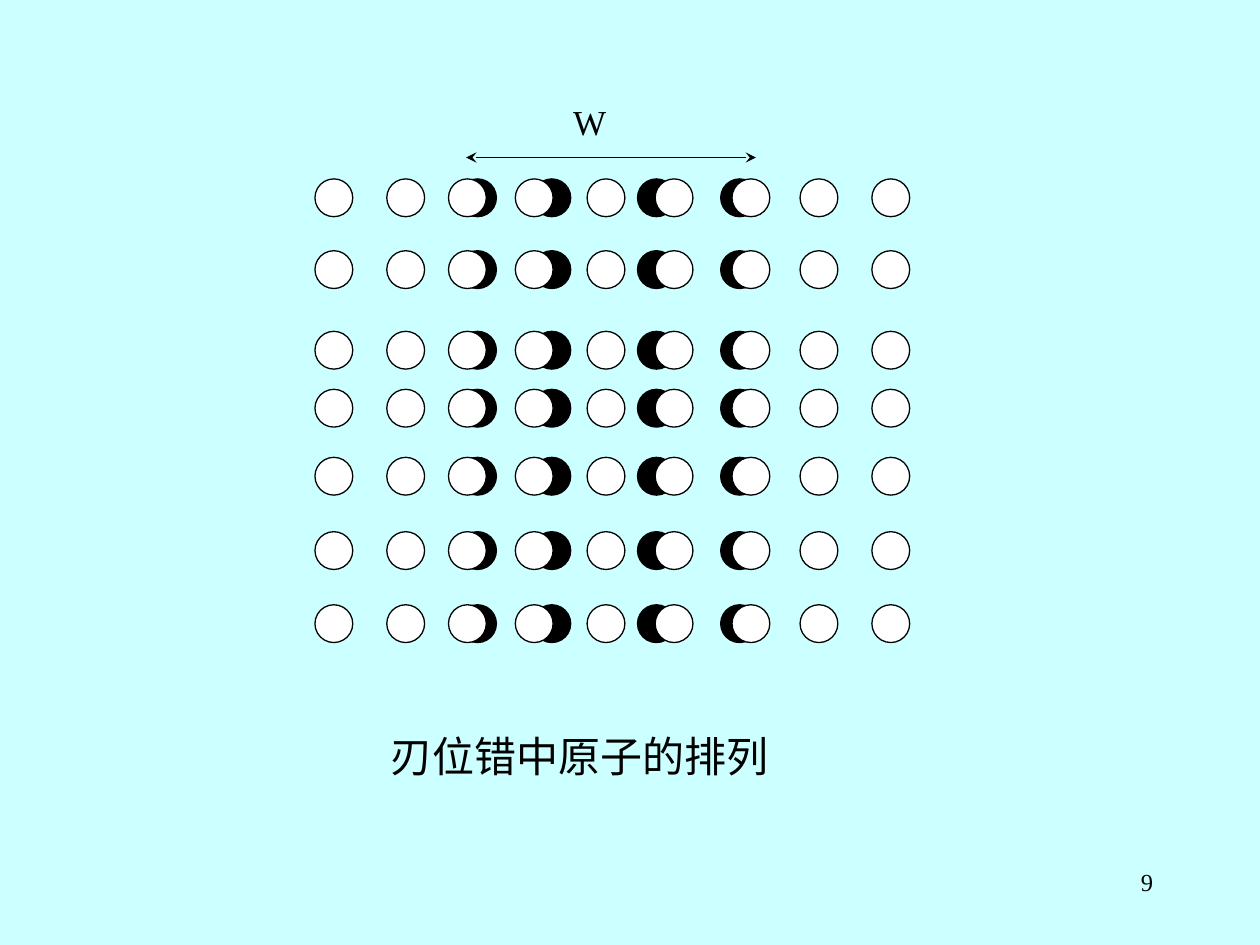
from dataclasses import dataclass

import pptx
import pptx.dml.color
import pptx.enum.shapes
import pptx.enum.text
import pptx.oxml
import pptx.oxml.ns
import pptx.util
from pptx.util import Inches

Color = pptx.dml.color.RGBColor
Align = pptx.enum.text.PP_ALIGN


@dataclass(frozen=True)
class Theme:
    background: Color = Color(0xCC, 0xFF, 0xFF)
    ink: Color = Color(0, 0, 0)
    atom: Color = Color(0xFF, 0xFF, 0xFF)
    font: str = "Times New Roman"
    caption_size: int = 24
    label_size: int = 20
    number_size: int = 14
    outline: float = 0.75
    arrow: float = 1


THEME = Theme()
ATOM_SIZE = 0.3
ROW_OFFSETS = (0, 0.57, 1.21, 1.67, 2.21, 2.8, 3.38)
# Column offsets: black atoms lie behind the displaced white ones.
BLACK_COLUMNS = (1.14, 1.73, 2.56, 3.22)
WHITE_COLUMNS = (0, 0.57, 1.06, 1.59, 2.16, 2.7, 3.31, 3.85, 4.42)


def add_text(shapes, box, text, size, alignment=Align.LEFT):
    text_box = shapes.add_textbox(*map(Inches, box))
    text_box.text_frame.word_wrap = True
    paragraph = text_box.text_frame.paragraphs[0]
    paragraph.text = text
    paragraph.alignment = alignment
    paragraph.font.name = THEME.font
    paragraph.font.size = pptx.util.Pt(size)
    paragraph.font.color.rgb = THEME.ink


def add_atom(shapes, left, top, fill):
    atom = shapes.add_shape(
        pptx.enum.shapes.MSO_SHAPE.OVAL,
        Inches(left), Inches(top), Inches(ATOM_SIZE), Inches(ATOM_SIZE))
    atom.shadow.inherit = False
    atom.fill.solid()
    atom.fill.fore_color.rgb = fill
    atom.line.color.rgb = THEME.ink
    atom.line.width = pptx.util.Pt(THEME.outline)


def add_lattice(shapes, left, top):
    for row in ROW_OFFSETS:
        for columns, fill in ((BLACK_COLUMNS, THEME.ink),
                              (WHITE_COLUMNS, THEME.atom)):
            for column in columns:
                add_atom(shapes, left + column, top + row, fill)


def add_width_mark(shapes, left, top, width):
    """Draw the double-headed arrow with its label above it."""
    label_width, label_height, gap = 0.8, 0.44, 0.06
    arrow_top = top + label_height + gap
    arrow = shapes.add_connector(
        pptx.enum.shapes.MSO_CONNECTOR.STRAIGHT,
        Inches(left), Inches(arrow_top),
        Inches(left + width), Inches(arrow_top))
    arrow.line.color.rgb = THEME.ink
    arrow.line.width = pptx.util.Pt(THEME.arrow)
    line = arrow.line._get_or_add_ln()
    for end in ("a:headEnd", "a:tailEnd"):
        element = pptx.oxml.xmlchemy.OxmlElement(end)
        element.set("type", "stealth")
        line.append(element)
    arrow._element.spPr.append(
        pptx.oxml.xmlchemy.OxmlElement("a:effectLst"))
    label_left = left + (width - label_width) / 2
    add_text(shapes, (label_left, top, label_width, label_height),
             "W", THEME.label_size)


def add_diagram(slide, left, top):
    group = slide.shapes.add_group_shape()
    add_lattice(group.shapes, left, top + 0.67)
    add_width_mark(group.shapes, left + 1.2, top, 2.3)


def main():
    presentation = pptx.Presentation()
    presentation.slide_width = Inches(10)
    presentation.slide_height = Inches(7.5)
    slide = presentation.slides.add_slide(presentation.slide_layouts[6])
    slide.background.fill.solid()
    slide.background.fill.fore_color.rgb = THEME.background
    add_text(slide.shapes, (7.17, 6.83, 2.08, 0.5), "9",
             THEME.number_size, Align.RIGHT)
    add_text(slide.shapes, (3, 5.75, 4, 0.5), "刃位错中原子的排列",
             THEME.caption_size)
    add_diagram(slide, 2.5, 0.75)
    presentation.save("out.pptx")


if __name__ == "__main__":
    main()
